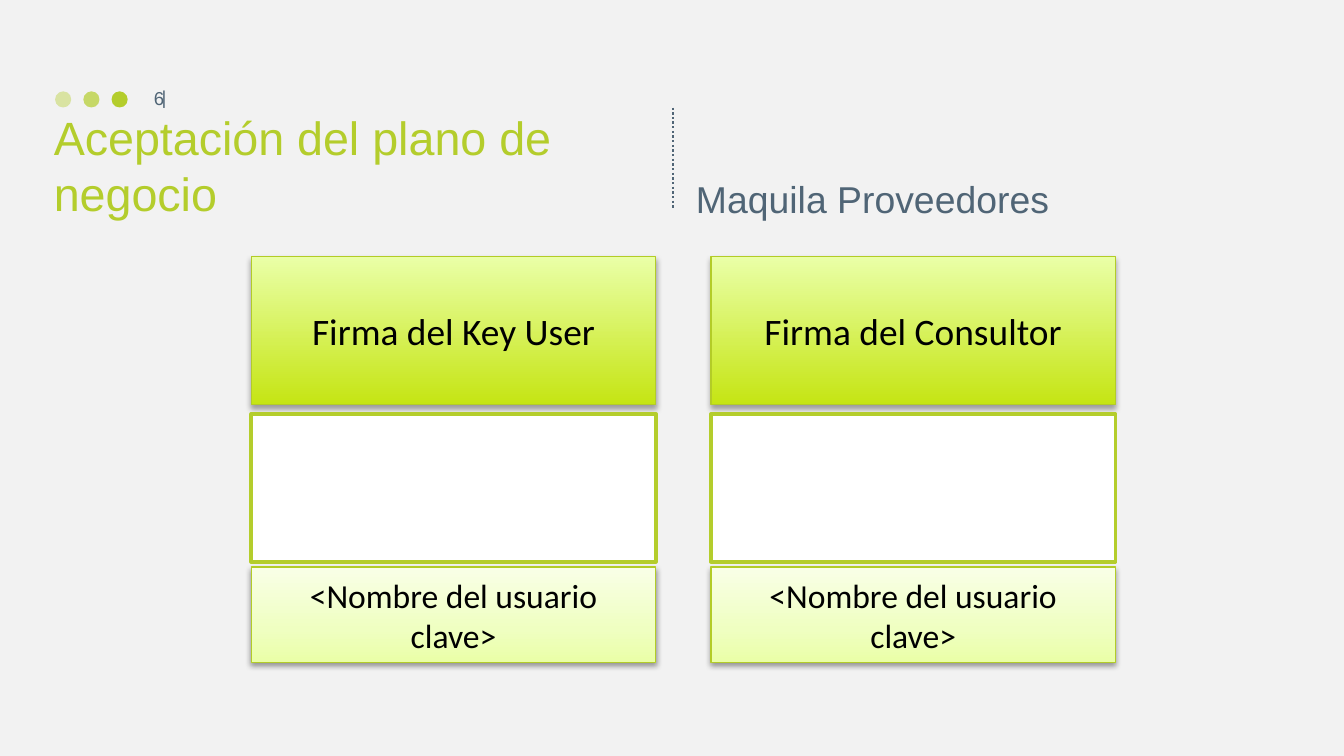
from dataclasses import dataclass

from lxml import etree
from pptx import Presentation
from pptx import util as u
from pptx.dml.color import RGBColor
from pptx.enum import dml, shapes, text
from pptx.oxml.ns import qn

PX = 9144  # EMU; 100 px to the inch
COLORS = {
    "background": "F2F2F2",
    "green": "B4CD2C",
    "edge": "B3CC27",
    "slate": "506576",
    "white": "FFFFFF",
    "black": "000000",
}
STRONG = ((0, "C5E514"), (100, "EAFFA7"))
PALE = ((0, "EAFFA7"), (35, "EFFFC1"), (100, "F9FFE7"))


@dataclass
class Box:
    left: int
    top: int
    width: int
    height: int

    def emu(self) -> tuple:
        return tuple(u.Emu(n * PX) for n in (self.left, self.top, self.width, self.height))


@dataclass
class Signature:
    left: int
    heading: str
    name: str


SIGNATURES = (
    Signature(187, "Firma del Key User", "<Nombre del usuario clave>"),
    Signature(529, "Firma del Consultor", "<Nombre del usuario clave>"),
)


def rgb(name: str) -> RGBColor:
    return RGBColor.from_string(COLORS[name])


def child(parent, tag: str, **attributes):
    return etree.SubElement(parent, qn(tag), {key: str(value) for key, value in attributes.items()})


def write(shape, content: str, *, size: int, color: str = "slate", font: str = "Arial",
          align=text.PP_ALIGN.LEFT, anchor=text.MSO_ANCHOR.MIDDLE,
          margins: tuple = (10, 5, 10, 5), wrap: bool = True) -> None:
    frame = shape.text_frame
    frame.auto_size = text.MSO_AUTO_SIZE.NONE
    frame.word_wrap = wrap
    frame.vertical_anchor = anchor
    frame.margin_left, frame.margin_top, frame.margin_right, frame.margin_bottom = (
        u.Emu(n * PX) for n in margins)
    paragraph = frame.paragraphs[0]
    paragraph.alignment = align
    run = paragraph.add_run()
    run.text = content
    run.font.name = font
    run.font.size = u.Pt(size)
    run.font.color.rgb = rgb(color)


def add_text(slide, box: Box, content: str, **style) -> None:
    write(slide.shapes.add_textbox(*box.emu()), content, **style)


def add_dot(slide, left: int, opacity: int) -> None:
    dot = slide.shapes.add_shape(shapes.MSO_SHAPE.OVAL, *Box(left, 68, 12, 12).emu())
    dot.shadow.inherit = False
    dot.fill.solid()
    dot.fill.fore_color.rgb = rgb("green")
    dot.line.fill.background()
    if opacity < 100:
        color = dot._element.spPr.find(qn("a:solidFill")).find(qn("a:srgbClr"))
        child(color, "a:alpha", val=opacity * 1000)


def add_divider(slide) -> None:
    line = slide.shapes.add_connector(
        shapes.MSO_CONNECTOR.STRAIGHT, *(u.Emu(n * PX) for n in (501, 80, 501, 155)))
    line.line.color.rgb = rgb("slate")
    line.line.width = u.Pt(1.25)
    line.line.dash_style = dml.MSO_LINE.ROUND_DOT
    child(line._element.spPr, "a:effectLst")


def add_panel(slide, box: Box, edge: str, edge_width: float):
    panel = slide.shapes.add_shape(shapes.MSO_SHAPE.RECTANGLE, *box.emu())
    panel.shadow.inherit = False
    panel.fill.solid()
    panel.fill.fore_color.rgb = rgb("white")
    panel.line.color.rgb = rgb(edge)
    panel.line.width = u.Pt(edge_width)
    return panel


def add_label(slide, box: Box, content: str, size: int, stops: tuple,
              shadow_opacity: int, shadow_distance: float) -> None:
    """Add a captioned panel with an upward gradient and a soft shadow below."""
    panel = add_panel(slide, box, "edge", 0.75)
    panel.fill.gradient()
    panel.fill.gradient_angle = 90
    properties = panel._element.spPr
    stop_list = properties.find(qn("a:gradFill")).find(qn("a:gsLst"))
    for old_stop in list(stop_list):
        stop_list.remove(old_stop)
    for position, color in stops:
        child(child(stop_list, "a:gs", pos=position * 1000), "a:srgbClr", val=color)
    shadow = child(properties.find(qn("a:effectLst")), "a:outerShdw",
                   blurRad=u.Pt(3.1), dist=u.Pt(shadow_distance), dir=90 * 60000,
                   rotWithShape=0)
    color = child(shadow, "a:srgbClr", val=COLORS["black"])
    child(color, "a:alpha", val=shadow_opacity * 1000)
    write(panel, content, size=size, color="black", font="Calibri",
          align=text.PP_ALIGN.CENTER)


def add_signature(slide, signature: Signature) -> None:
    left, width = signature.left, 301
    add_label(slide, Box(left, 191, width, 110), signature.heading, 20, STRONG, 35, 1.8)
    add_panel(slide, Box(left, 308, width, 110), "green", 2)
    add_label(slide, Box(left, 422, width, 71), signature.name, 18, PALE, 38, 1.6)


def main() -> None:
    presentation = Presentation()
    presentation.slide_width = u.Emu(1000 * PX)
    presentation.slide_height = u.Emu(1000 * PX * 9 // 16)
    slide = presentation.slides.add_slide(presentation.slide_layouts[5])
    slide.background.fill.solid()
    slide.background.fill.fore_color.rgb = rgb("background")

    for index, opacity in enumerate((40, 70, 100)):
        add_dot(slide, 41 + 21 * index, opacity)
    add_divider(slide)
    add_text(slide, Box(119, 65, 6, 15), "|", size=10, margins=(0, 0, 0, 0),
             align=text.PP_ALIGN.CENTER, wrap=False)
    add_text(slide, Box(86, 58, 46, 30), "6", size=10, align=text.PP_ALIGN.RIGHT)

    title = slide.shapes.title
    title.left, title.top, title.width, title.height = Box(30, 75, 459, 94).emu()
    write(title, "Aceptación del plano de negocio", size=25, color="green",
          anchor=text.MSO_ANCHOR.BOTTOM)
    add_text(slide, Box(508, 75, 442, 94), "Maquila Proveedores", size=20,
             anchor=text.MSO_ANCHOR.BOTTOM)

    for signature in SIGNATURES:
        add_signature(slide, signature)
    presentation.save("out.pptx")


if __name__ == "__main__":
    main()
